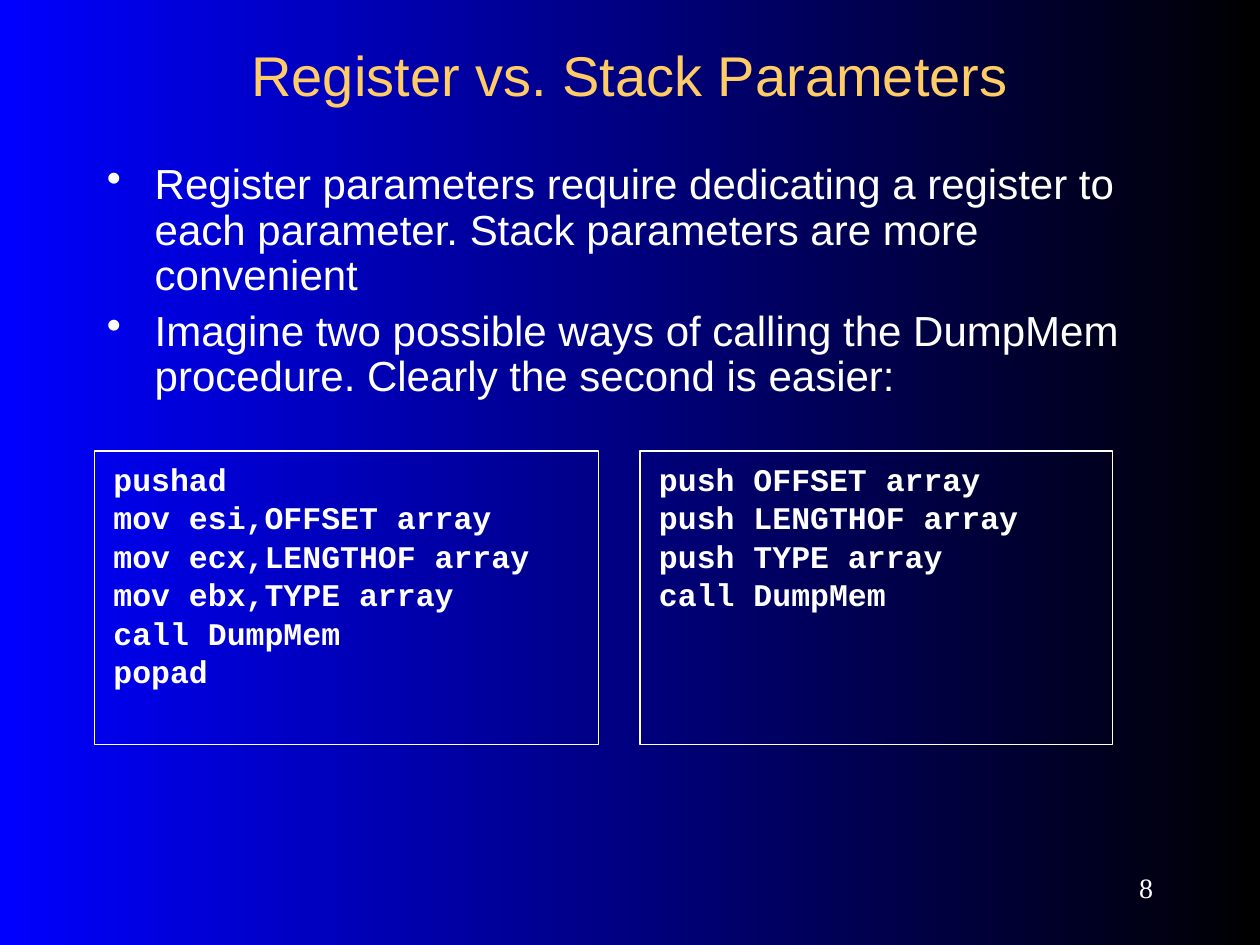
from pptx import Presentation
from pptx.dml.color import RGBColor
from pptx.enum.shapes import MSO_SHAPE
from pptx.enum.text import MSO_ANCHOR, PP_ALIGN
from pptx.oxml import parse_xml
from pptx.oxml.ns import nsdecls
from pptx.util import Inches, Pt

RECTANGLE = MSO_SHAPE.RECTANGLE
TOP, MIDDLE = MSO_ANCHOR.TOP, MSO_ANCHOR.MIDDLE
LEFT, CENTER, RIGHT = PP_ALIGN.LEFT, PP_ALIGN.CENTER, PP_ALIGN.RIGHT
TITLE_ONLY = 5

COLORS = {"black": "000000", "blue": "0000FF", "gold": "FFCC66", "white": "FFFFFF"}

POINTS = [
    "Register parameters require dedicating a register to each parameter. "
    "Stack parameters are more convenient",
    "Imagine two possible ways of calling the DumpMem procedure. "
    "Clearly the second is easier:",
]
REGISTER_CALL = [
    "pushad",
    "mov esi,OFFSET array",
    "mov ecx,LENGTHOF array",
    "mov ebx,TYPE array",
    "call DumpMem",
    "popad",
]
STACK_CALL = [
    "push OFFSET array",
    "push LENGTHOF array",
    "push TYPE array",
    "call DumpMem",
]


def color(name):
    return RGBColor.from_string(COLORS[name])


def place(shape, box):
    shape.left, shape.top, shape.width, shape.height = map(Inches, box)


def set_frame(shape, anchor, inset_x=0.1, inset_y=0.05):
    frame = shape.text_frame
    frame.word_wrap = True
    frame.vertical_anchor = anchor
    frame.margin_left = frame.margin_right = Inches(inset_x)
    frame.margin_top = frame.margin_bottom = Inches(inset_y)
    return frame


def write_lines(frame, lines, font_name, size, color_name="white", bold=False,
                align=LEFT, line_spacing=None, space_before=0, bullet=False):
    for index, line in enumerate(lines):
        paragraph = frame.paragraphs[0] if index == 0 else frame.add_paragraph()
        if bullet:
            add_bullet(paragraph)
        paragraph.alignment = align
        if line_spacing:
            paragraph.line_spacing = line_spacing
        paragraph.space_before = Pt(space_before if index else 0)
        run = paragraph.add_run()
        run.text = line
        run.font.name = font_name
        run.font.size = Pt(size)
        run.font.bold = bold
        run.font.color.rgb = color(color_name)


def add_bullet(paragraph):
    properties = paragraph._p.get_or_add_pPr()
    properties.set("marL", str(Inches(0.38)))
    properties.set("indent", str(-Inches(0.38)))
    properties.append(parse_xml(f'<a:buChar {nsdecls("a")} char="•"/>'))


def paint_background(slide):
    fill = slide.background.fill
    fill.gradient()
    fill.gradient_angle = 180
    for stop, name in zip(fill.gradient_stops, ("black", "blue")):
        stop.color.rgb = color(name)


def add_title(slide, box):
    title = slide.shapes.title
    place(title, box)
    write_lines(set_frame(title, MIDDLE), ["Register vs. Stack Parameters"],
                "Arial", 32, "gold", align=CENTER)


def add_points(slide, box):
    shape = slide.shapes.add_textbox(*map(Inches, box))
    write_lines(set_frame(shape, TOP), POINTS, "Arial", 24,
                line_spacing=0.9, space_before=6, bullet=True)


def add_code_box(slide, box, lines):
    shape = slide.shapes.add_shape(RECTANGLE, *map(Inches, box))
    shape.shadow.inherit = False
    shape.fill.background()
    shape.line.color.rgb = color("white")
    shape.line.width = Pt(0.75)
    write_lines(set_frame(shape, TOP, 0.15, 0.2), lines, "Courier New", 18,
                bold=True, line_spacing=0.5, space_before=11.2)


def add_page_number(slide, box):
    shape = slide.shapes.add_textbox(*map(Inches, box))
    write_lines(set_frame(shape, MIDDLE), ["8"], "Times New Roman", 16, align=RIGHT)


def main():
    presentation = Presentation()
    presentation.slide_width = Inches(10)
    presentation.slide_height = Inches(7.5)
    slide = presentation.slides.add_slide(presentation.slide_layouts[TITLE_ONLY])

    paint_background(slide)
    add_title(slide, (0.75, 0.25, 8.5, 0.67))
    add_points(slide, (0.75, 1.25, 8.5, 2.17))

    # The two ways of calling, side by side
    add_code_box(slide, (0.75, 3.58, 4, 2.33), REGISTER_CALL)
    add_code_box(slide, (5.08, 3.58, 3.75, 2.33), STACK_CALL)

    add_page_number(slide, (8.17, 6.83, 1.08, 0.42))
    presentation.save("out.pptx")


if __name__ == "__main__":
    main()
